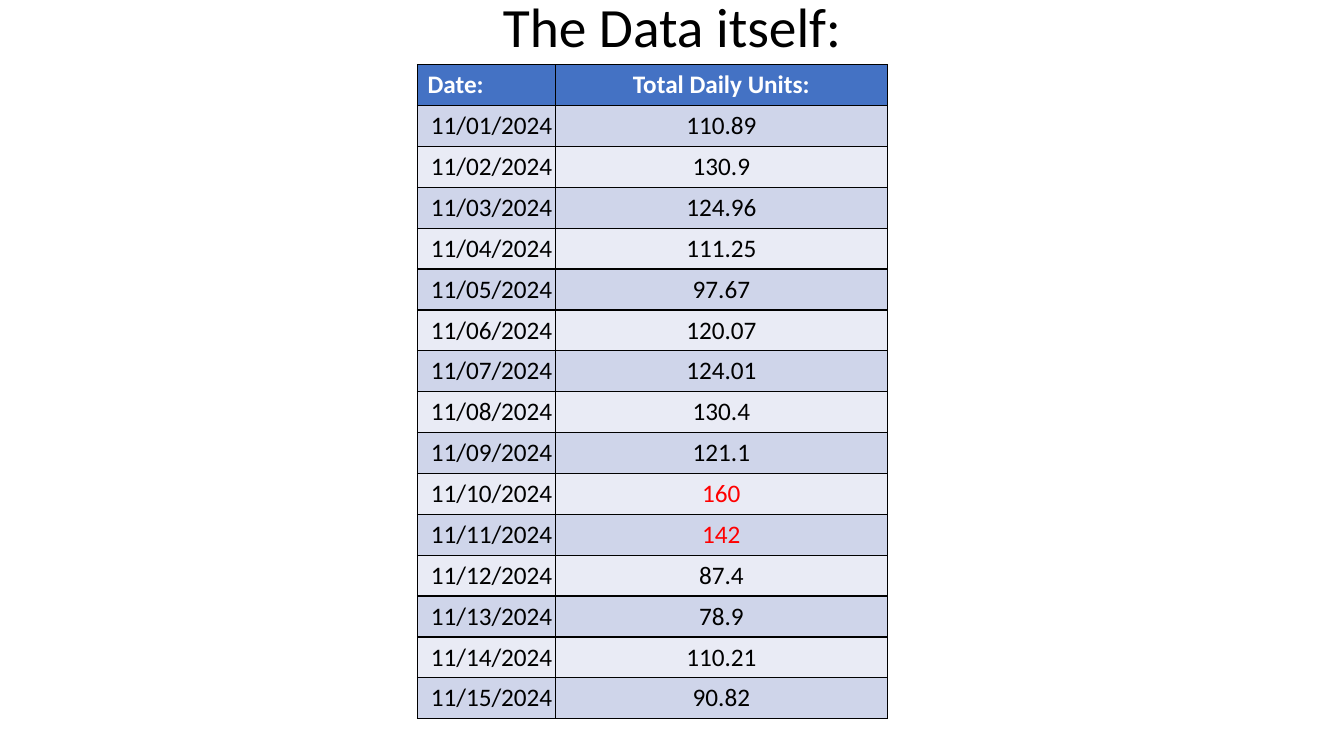
from lxml import etree
from pptx import Presentation
from pptx.dml.color import RGBColor
from pptx.enum import text
from pptx.oxml import ns
from pptx.util import Cm, Pt

TITLE = "The Data itself:"
HEADS = ("Date:", "Total Daily Units:")
UNITS = ("110.89", "130.9", "124.96", "111.25", "97.67", "120.07", "124.01", "130.4",
         "121.1", "160", "142", "87.4", "78.9", "110.21", "90.82")
PEAKS = ("160", "142")
INK = {"black": "000000", "white": "FFFFFF", "red": "FF0000",
       "head": "4472C4", "odd": "CFD5EA", "even": "E9EBF5"}
ALIGN = text.PP_ALIGN
WIDTHS = (3.48, 8.36)
HIGH = 1.03


def write(frame, words, size=18, color="black", bold=False, align=ALIGN.CENTER, space=1.0):
    para = frame.paragraphs[0]
    para.alignment = align
    para.line_spacing = space
    run = para.add_run()
    run.text = words
    font = run.font
    font.name = "Calibri"
    font.size = Pt(size)
    font.bold = bold
    font.color.rgb = RGBColor.from_string(INK[color])


def border(cell):
    props = cell._tc.get_or_add_tcPr()
    for spot, side in enumerate(("lnL", "lnR", "lnT", "lnB")):
        line = etree.Element(ns.qn("a:" + side), w=str(Pt(1)))
        fill = etree.SubElement(line, ns.qn("a:solidFill"))
        etree.SubElement(fill, ns.qn("a:srgbClr"), val=INK["black"])
        props.insert(spot, line)


def paint(cell, shade):
    cell.vertical_anchor = text.MSO_ANCHOR.MIDDLE
    cell.fill.solid()
    cell.fill.fore_color.rgb = RGBColor.from_string(INK[shade])
    border(cell)


def main():
    deck = Presentation()
    deck.slide_width, deck.slide_height = Cm(33.87), Cm(19.05)
    slide = deck.slides.add_slide(deck.slide_layouts[6])

    box = slide.shapes.add_textbox(Cm(2.33), Cm(0.18), Cm(29.21), Cm(1.14))
    box.text_frame.word_wrap = True
    box.text_frame.vertical_anchor = text.MSO_ANCHOR.MIDDLE
    write(box.text_frame, TITLE, size=39.6, space=0.9)

    count = len(UNITS) + 1
    table = slide.shapes.add_table(count, 2, Cm(10.52), Cm(1.63),
                                   Cm(sum(WIDTHS)), Cm(HIGH * count)).table
    for col, width in zip(table.columns, WIDTHS):
        col.width = Cm(width)
    for row in table.rows:
        row.height = Cm(HIGH)

    for col, head in enumerate(HEADS):
        cell = table.cell(0, col)
        paint(cell, "head")
        write(cell.text_frame, head, color="white", bold=True,
              align=ALIGN.CENTER if col else ALIGN.LEFT)

    for day, units in enumerate(UNITS, 1):
        for col, words in enumerate((f"11/{day:02}/2024", units)):
            cell = table.cell(day, col)
            cell.margin_left = cell.margin_right = Cm(0.08)
            cell.margin_top = cell.margin_bottom = Cm(0.05)
            paint(cell, "odd" if day % 2 else "even")
            write(cell.text_frame, words, color="red" if words in PEAKS else "black",
                  align=ALIGN.CENTER if col else ALIGN.RIGHT)

    deck.save("out.pptx")


if __name__ == "__main__":
    main()
